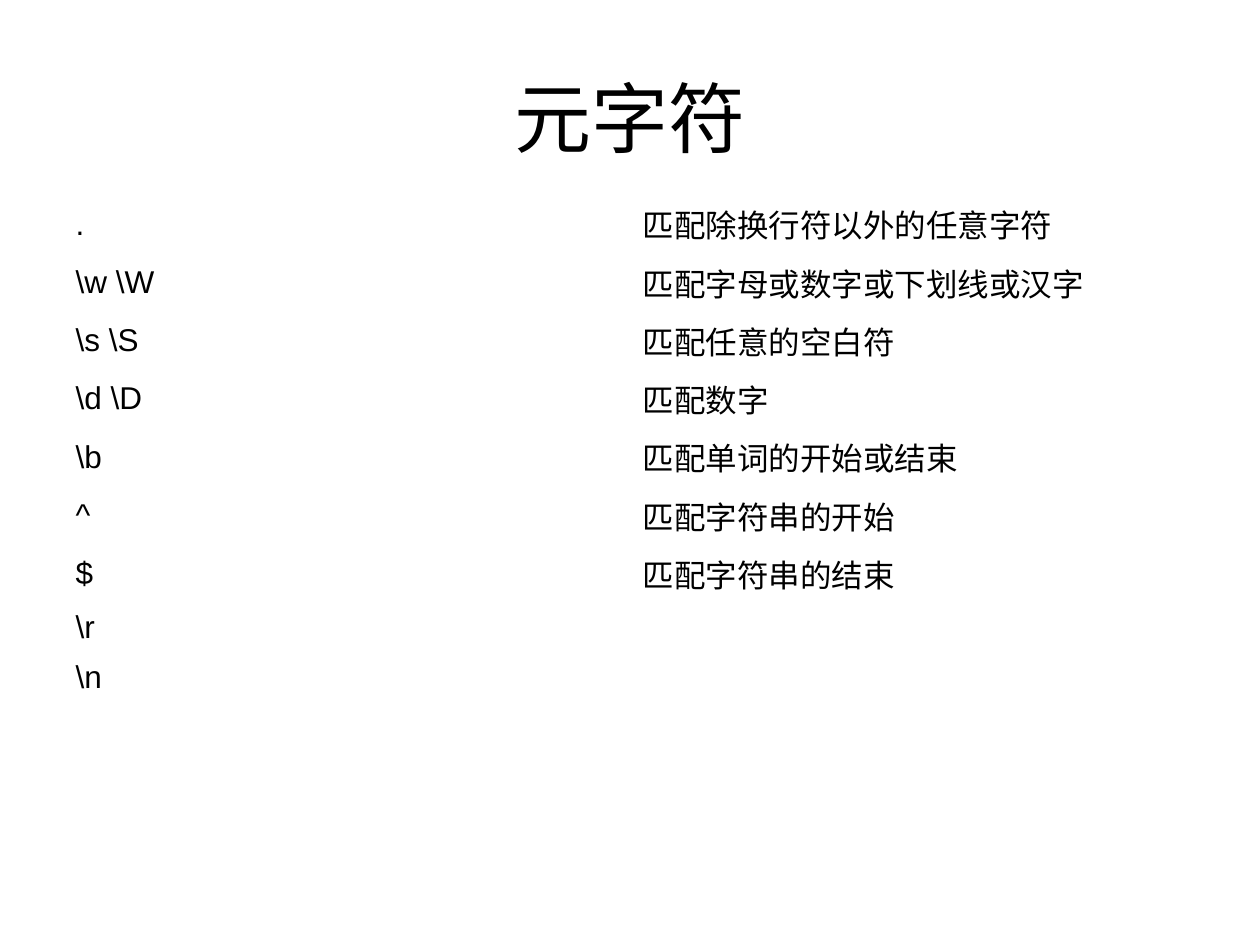
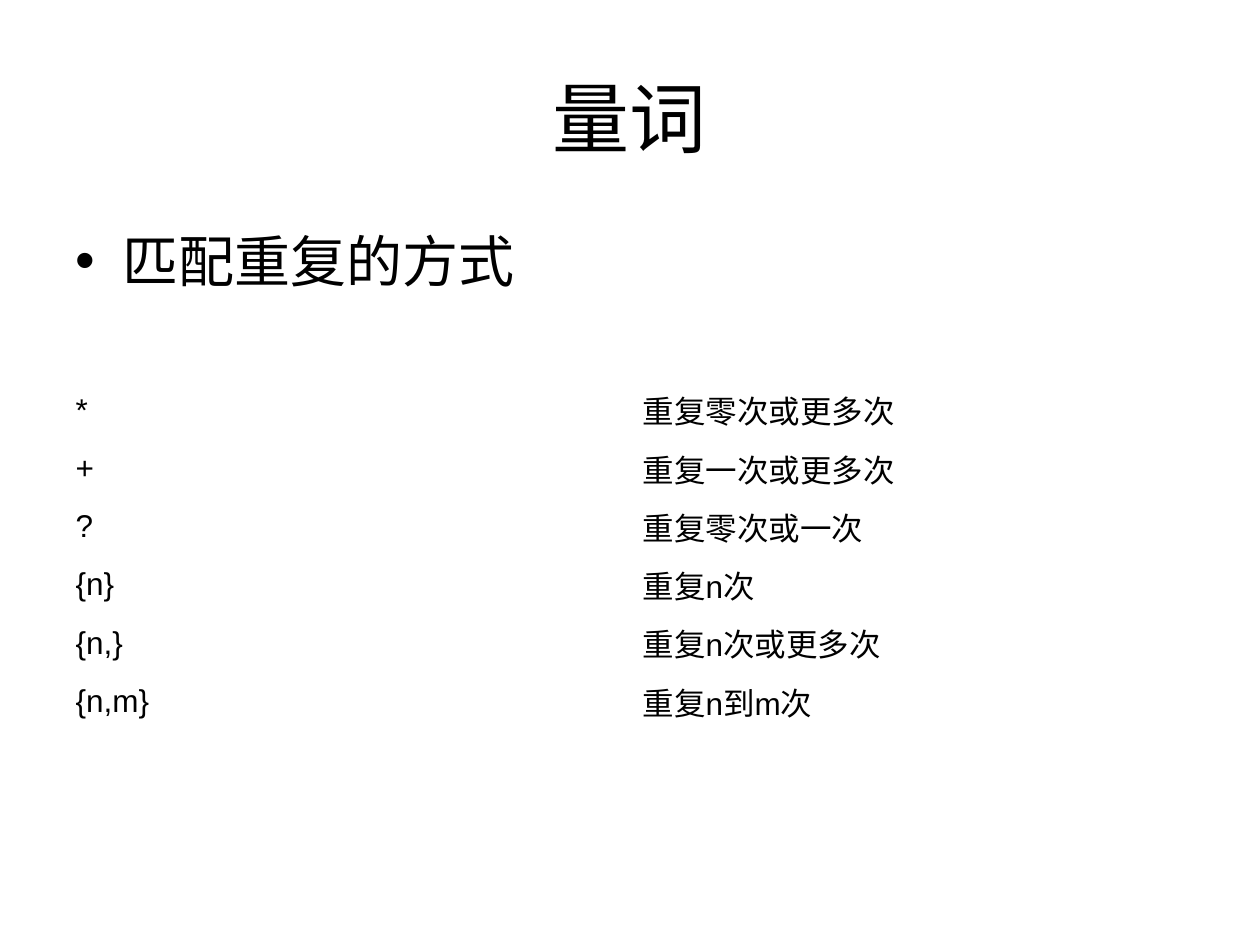
from pptx import Presentation
from pptx.dml.color import RGBColor
from pptx.enum.text import MSO_ANCHOR, PP_ALIGN
from pptx.util import Pt

SCALE = 914400 / 126
COLORS = {"ink": "000000", "page": "FFFFFF"}
TITLE = {"name": "Calibri", "size": Pt(44)}
LIST = {"name": "Calibri", "size": Pt(32)}
CELL = {"name": "Arial", "size": Pt(18)}
LEFT, WIDE, ROW = 63, 1134, 50

META = [
    (".", "匹配除换行符以外的任意字符"),
    (r"\w \W", "匹配字母或数字或下划线或汉字"),
    (r"\s \S", "匹配任意的空白符"),
    (r"\d \D", "匹配数字"),
    (r"\b", "匹配单词的开始或结束"),
    ("^", "匹配字符串的开始"),
    ("$", "匹配字符串的结束"),
    (r"\r", ""),
    (r"\n", ""),
] + [("", "")] * 3
COUNTS = [
    ("*", "重复零次或更多次"),
    ("+", "重复一次或更多次"),
    ("?", "重复零次或一次"),
    ("{n}", "重复n次"),
    ("{n,}", "重复n次或更多次"),
    ("{n,m}", "重复n到m次"),
]


def px(num):
    return round(num * SCALE)


def place(shape, top, high):
    """Span the content width at the given top and height."""
    box = {"left": LEFT, "top": top, "width": WIDE, "height": high}
    for key, val in box.items():
        setattr(shape, key, px(val))


def style(para, look):
    for key, val in look.items():
        setattr(para.font, key, val)
    para.font.color.rgb = RGBColor.from_string(COLORS["ink"])


def add_slide(deck, layout, title):
    slide = deck.slides.add_slide(deck.slide_layouts[layout])
    fill = slide.background.fill
    fill.solid()
    fill.fore_color.rgb = RGBColor.from_string(COLORS["page"])
    head = slide.shapes.title
    place(head, 38, 158)
    head.text_frame.text = title
    head.text_frame.vertical_anchor = MSO_ANCHOR.MIDDLE
    para = head.text_frame.paragraphs[0]
    para.alignment = PP_ALIGN.CENTER
    style(para, TITLE)
    return slide


def add_list(slide, items):
    body = slide.placeholders[1]
    place(body, 220, 624)
    body.text_frame.text = "\n".join(items)
    for para in body.text_frame.paragraphs:
        style(para, LIST)


def add_grid(slide, top, rows):
    """Add a plain two-column table of symbols and meanings."""
    frame = slide.shapes.add_table(
        len(rows), 2, px(LEFT), px(top), px(WIDE), px(ROW * len(rows)))
    table = frame.table
    table.first_row = table.horz_banding = False
    for r, texts in enumerate(rows):
        for c, text in enumerate(texts):
            cell = table.cell(r, c)
            cell.fill.background()
            cell.vertical_anchor = MSO_ANCHOR.MIDDLE
            cell.text = text
            style(cell.text_frame.paragraphs[0], CELL)


def main():
    deck = Presentation()
    deck.slide_width, deck.slide_height = px(1260), px(945)
    add_grid(add_slide(deck, 5, "元字符"), 195, META)
    slide = add_slide(deck, 1, "量词")
    add_list(slide, ["匹配重复的方式"])
    add_grid(slide, 381, COUNTS)
    deck.save("out.pptx")


if __name__ == "__main__":
    main()
